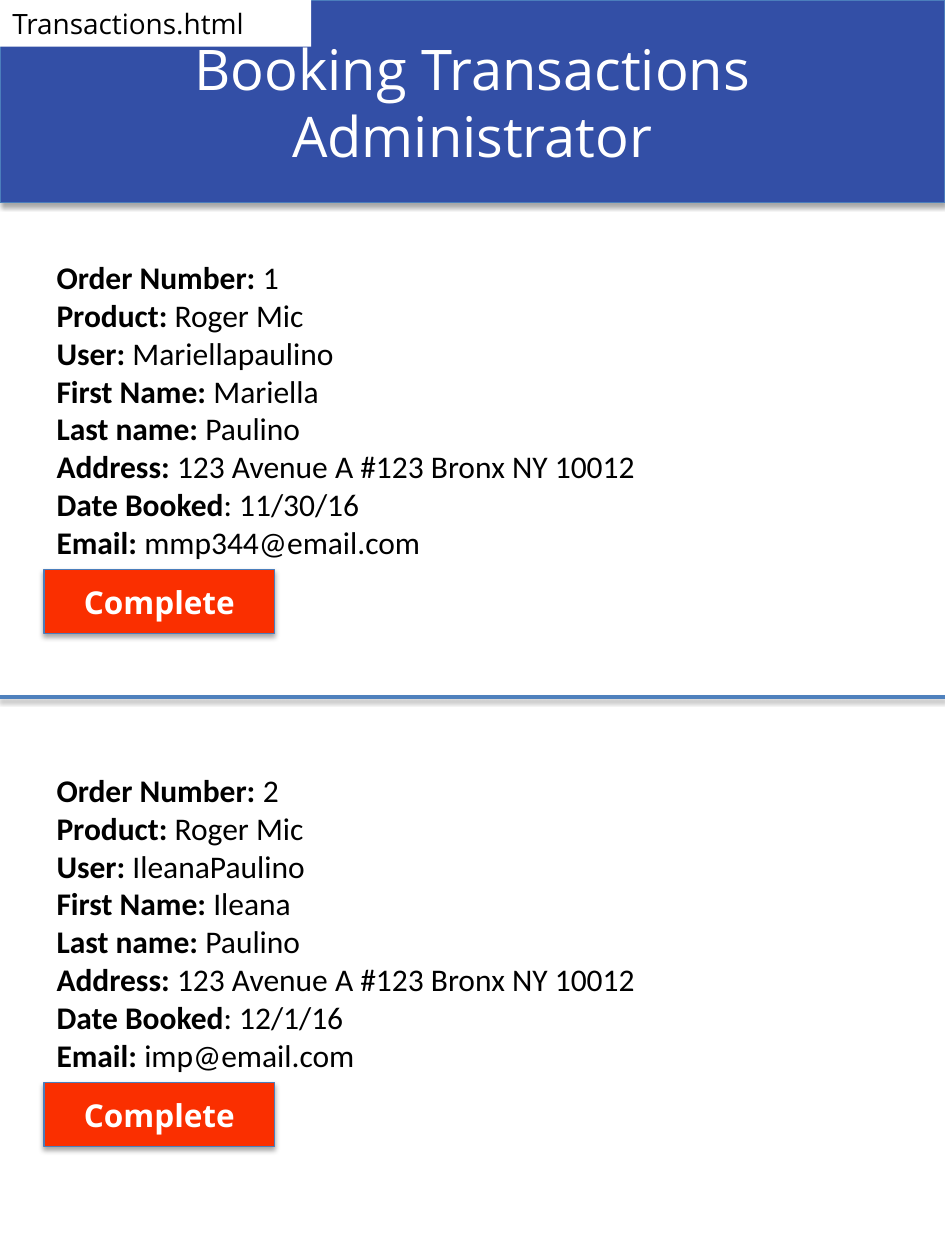
from dataclasses import dataclass

from lxml import etree
from pptx import Presentation
from pptx.dml.color import RGBColor
from pptx.enum.shapes import MSO_CONNECTOR, MSO_SHAPE
from pptx.enum.text import MSO_ANCHOR, MSO_AUTO_SIZE, PP_ALIGN
from pptx.oxml.ns import qn
from pptx.util import Inches, Pt

RECTANGLE = MSO_SHAPE.RECTANGLE
STRAIGHT = MSO_CONNECTOR.STRAIGHT
MIDDLE, TOP = MSO_ANCHOR.MIDDLE, MSO_ANCHOR.TOP
NO_FIT, GROW = MSO_AUTO_SIZE.NONE, MSO_AUTO_SIZE.SHAPE_TO_FIT_TEXT
LEFT, CENTER = PP_ALIGN.LEFT, PP_ALIGN.CENTER


@dataclass(frozen=True)
class Theme:
    banner: str = "334FA6"
    button: str = "FA2F00"
    outline: str = "4B7EBC"
    divider: str = "4F81BD"
    light: str = "FFFFFF"
    dark: str = "000000"
    heading_font: str = "Open Sans"
    body_font: str = "Calibri"
    title_size: int = 32
    body_size: int = 18
    label_size: int = 16


def apply(target, values):
    for name, value in values.items():
        setattr(target, name, value)


class Page:
    def __init__(self, slide, theme):
        self.slide = slide
        self.theme = theme

    def place(self, shape, box):
        apply(shape, dict(zip(("left", "top", "width", "height"), map(Inches, box))))

    def paint(self, shape, color):
        shape.fill.solid()
        shape.fill.fore_color.rgb = RGBColor.from_string(color)

    def stroke(self, shape, color, width):
        shape.line.color.rgb = RGBColor.from_string(color)
        shape.line.width = Pt(width)

    def shade(self, shape, opacity, distance):
        effects = etree.SubElement(shape._element.spPr, qn("a:effectLst"))
        shadow = etree.SubElement(
            effects, qn("a:outerShdw"), blurRad=str(Pt(3.1)), dist=str(Pt(distance)),
            dir="5400000", rotWithShape="0")
        color = etree.SubElement(shadow, qn("a:srgbClr"), val=self.theme.dark)
        etree.SubElement(color, qn("a:alpha"), val=str(opacity * 1000))

    def add_text(self, shape, lines, font, size, color, align=LEFT, anchor=TOP, fit=NO_FIT):
        frame = shape.text_frame
        apply(frame, {"word_wrap": True, "auto_size": fit, "vertical_anchor": anchor})
        for index, runs in enumerate(lines):
            paragraph = frame.add_paragraph() if index else frame.paragraphs[0]
            paragraph.alignment = align
            for text, bold in runs:
                run = paragraph.add_run()
                run.text = text
                apply(run.font, {"name": font, "size": Pt(size), "bold": bold})
                run.font.color.rgb = RGBColor.from_string(color)

    def panel(self, shape, text, color, size, bold):
        self.paint(shape, color)
        self.stroke(shape, self.theme.outline, 0.75)
        self.shade(shape, 35, 1.8)
        self.add_text(shape, [[(text, bold)]], self.theme.heading_font, size,
                      self.theme.light, CENTER, MIDDLE)

    def banner(self, text, box):
        title = self.slide.shapes.title
        self.place(title, box)
        self.panel(title, text, self.theme.banner, self.theme.title_size, False)

    def button(self, text, box):
        shape = self.slide.shapes.add_shape(RECTANGLE, *map(Inches, box))
        self.panel(shape, text, self.theme.button, self.theme.body_size, True)

    def label(self, text, box):
        shape = self.slide.shapes.add_textbox(*map(Inches, box))
        self.paint(shape, self.theme.light)
        self.add_text(shape, [[(text, False)]], self.theme.heading_font,
                      self.theme.label_size, self.theme.dark, fit=GROW)

    def details(self, fields, box):
        shape = self.slide.shapes.add_textbox(*map(Inches, box))
        lines = [[(name, True), (value, False)] for name, value in fields]
        self.add_text(shape, lines, self.theme.body_font, self.theme.body_size,
                      self.theme.dark, fit=GROW)

    def divider(self, top, width):
        line = self.slide.shapes.add_connector(
            STRAIGHT, Inches(0), Inches(top), Inches(width), Inches(top))
        self.stroke(line, self.theme.divider, 2)
        self.shade(line, 38, 1.6)


FIELD_NAMES = ("Order Number: ", "Product: ", "User: ", "First Name: ",
               "Last name: ", "Address: ", "Date Booked", "Email: ")
ADDRESS = "123 Avenue A #123 Bronx NY 10012"
ORDERS = (
    (2, ("1", "Roger Mic", "Mariellapaulino", "Mariella", "Paulino",
         ADDRESS, ": 11/30/16", "mmp344@email.com")),
    (6.07, ("2", "Roger Mic", "IleanaPaulino", "Ileana", "Paulino",
            ADDRESS, ": 12/1/16", "imp@email.com")),
)
DETAILS_HEIGHT = 2.52

presentation = Presentation()
apply(presentation, {"slide_width": Inches(7.5), "slide_height": Inches(10)})
slide = presentation.slides.add_slide(presentation.slide_layouts[5])
page = Page(slide, Theme())

page.banner("Booking Transactions Administrator", (0, 0, 7.5, 1.61))
page.label("Transactions.html", (0, 0, 2.47, 0.37))
page.divider(5.53, 7.5)
for top, values in ORDERS:
    page.button("Complete", (0.35, top + DETAILS_HEIGHT, 1.83, 0.51))
    page.details(zip(FIELD_NAMES, values), (0.35, top, 5.55, DETAILS_HEIGHT))

presentation.save("out.pptx")
